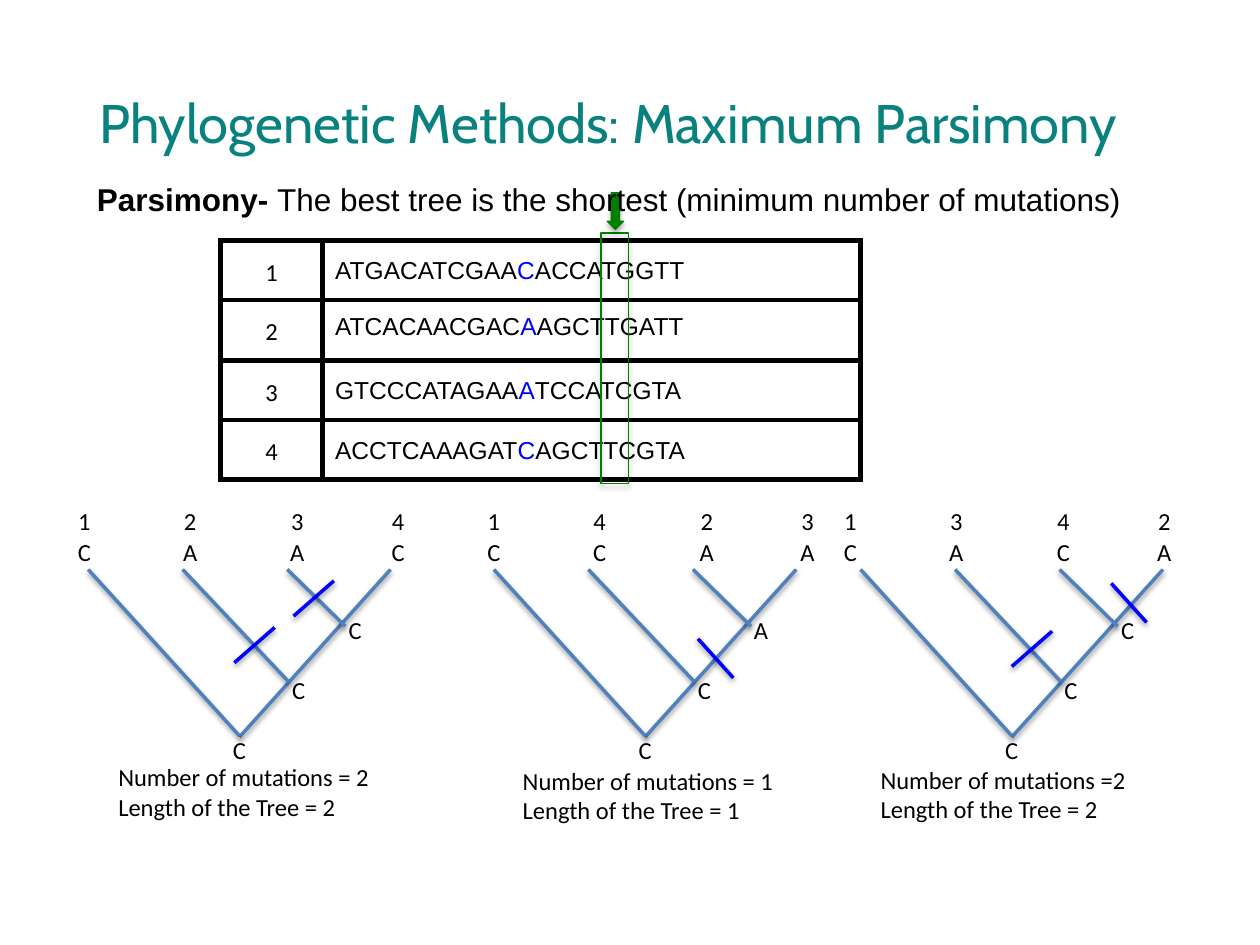
from dataclasses import dataclass

from lxml import etree
from pptx import Presentation
from pptx.dml.color import RGBColor
from pptx.enum.shapes import MSO_CONNECTOR, MSO_SHAPE
from pptx.enum.text import MSO_ANCHOR, MSO_AUTO_SIZE, PP_ALIGN
from pptx.oxml.ns import qn
from pptx.util import Inches, Pt

LEFT, CENTER, JUSTIFY = PP_ALIGN.LEFT, PP_ALIGN.CENTER, PP_ALIGN.JUSTIFY
TOP, MIDDLE = MSO_ANCHOR.TOP, MSO_ANCHOR.MIDDLE
RECT, DOWN_ARROW = MSO_SHAPE.RECTANGLE, MSO_SHAPE.DOWN_ARROW
STRAIGHT, NO_FIT = MSO_CONNECTOR.STRAIGHT, MSO_AUTO_SIZE.NONE


@dataclass(frozen=True)
class Theme:
    teal: str = "08817F"
    black: str = "000000"
    mutation: str = "0000FF"
    branch: str = "4F81BD"
    green: str = "008000"
    heading: str = "Cabin"
    sans: str = "Arial"
    label: str = "Calibri"
    title_size: float = 31
    lead_size: float = 18
    body_size: float = 14
    thick: float = 3
    medium: float = 2
    thin: float = 0.75


class SlideBuilder:
    """Draws styled elements on the current slide."""

    def __init__(self, s, theme):
        self.s = s
        self.theme = theme

    def run(self, p, text, font, size, color, bold=False):
        r = p.add_run()
        r.text = text
        r.font.name = font
        r.font.size = Pt(size)
        r.font.bold = bold
        r.font.color.rgb = RGBColor.from_string(color)

    def shadow(self, sp, alpha, distance):
        effects = etree.SubElement(sp._element.spPr, qn("a:effectLst"))
        outer = etree.SubElement(
            effects, qn("a:outerShdw"), blurRad=str(Pt(3.1)),
            dist=str(Pt(distance)), dir="5400000", rotWithShape="0")
        color = etree.SubElement(outer, qn("a:srgbClr"), val=self.theme.black)
        etree.SubElement(color, qn("a:alpha"), val=str(alpha * 1000))

    def title(self, text, x, y, w, h):
        t = self.theme
        sp = self.s.shapes.title
        sp.left, sp.top, sp.width, sp.height = map(Inches, (x, y, w, h))
        tf = sp.text_frame
        tf.auto_size = NO_FIT
        tf.word_wrap = True
        tf.vertical_anchor = MIDDLE
        p = tf.paragraphs[0]
        p.alignment = LEFT
        p.line_spacing = 0.9
        self.run(p, text, t.heading, t.title_size, t.teal)

    def text_box(self, x, y, w, h, inset=0.05):
        sp = self.s.shapes.add_textbox(*map(Inches, (x, y, w, h)))
        tf = sp.text_frame
        tf.word_wrap = True
        tf.margin_left = tf.margin_right = Inches(0.1)
        tf.margin_top = tf.margin_bottom = Inches(inset)
        return tf

    def lead(self, term, text, x, y, w, h):
        t = self.theme
        p = self.text_box(x, y, w, h).paragraphs[0]
        self.run(p, term, t.sans, t.lead_size, t.black, True)
        self.run(p, text, t.sans, t.lead_size, t.black)

    def label(self, text, x, y):
        t = self.theme
        p = self.text_box(x, y, 0.7, 0.45, 0.1).paragraphs[0]
        p.alignment = CENTER
        p.line_spacing = 1.15
        self.run(p, text, t.label, t.body_size, t.black)

    def note(self, lines, x, y):
        t = self.theme
        tf = self.text_box(x, y, 2.21, 0.59)
        for i, line in enumerate(lines):
            p = tf.add_paragraph() if i else tf.paragraphs[0]
            self.run(p, line, t.label, t.body_size, t.black)

    def line(self, x1, y1, x2, y2, color):
        sp = self.s.shapes.add_connector(STRAIGHT, *map(Inches, (x1, y1, x2, y2)))
        sp.line.color.rgb = RGBColor.from_string(color)
        sp.line.width = Pt(self.theme.medium)
        self.shadow(sp, 38, 1.6)

    def shape(self, kind, x, y, w, h, filled):
        sp = self.s.shapes.add_shape(kind, *map(Inches, (x, y, w, h)))
        green = RGBColor.from_string(self.theme.green)
        if filled:
            sp.fill.solid()
            sp.fill.fore_color.rgb = green
        else:
            sp.fill.background()
        sp.line.color.rgb = green
        sp.line.width = Pt(self.theme.thin)
        self.shadow(sp, 35, 1.8)

    def cell(self, cell, runs, font, align, spacing):
        cell.margin_left = cell.margin_right = Inches(0.1)
        cell.margin_top = cell.margin_bottom = Inches(0.1)
        cell.vertical_anchor = TOP
        p = cell.text_frame.paragraphs[0]
        p.alignment = align
        p.line_spacing = spacing
        for text, color in runs:
            self.run(p, text, font, self.theme.body_size, color)
        tc_pr = cell._tc.get_or_add_tcPr()
        for side in ("lnL", "lnR", "lnT", "lnB"):
            ln = etree.SubElement(tc_pr, qn(f"a:{side}"), w=str(Pt(self.theme.thick)))
            fill = etree.SubElement(ln, qn("a:solidFill"))
            etree.SubElement(fill, qn("a:srgbClr"), val=self.theme.black)
        cell.fill.background()

    def alignment_table(self, sequences, x, y, cols, rows):
        t = self.theme
        frame = self.s.shapes.add_table(
            len(rows), len(cols), *map(Inches, (x, y, sum(cols), sum(rows))))
        table = frame.table
        table.first_row = table.horz_banding = False
        for col, width in zip(table.columns, cols):
            col.width = Inches(width)
        for i, (before, site, after) in enumerate(sequences):
            table.rows[i].height = Inches(rows[i])
            self.cell(table.cell(i, 0), [(str(i + 1), t.black)], t.label, CENTER, 1.15)
            runs = [(before, t.black), (site, t.mutation), (after, t.black)]
            self.cell(table.cell(i, 1), runs, t.sans, JUSTIFY, 1 if i == 1 else 1.15)

    def tree(self, x, label_x, taxa, bases, nodes, marks):
        y = 4.52
        for x1, y1, x2 in BRANCHES:
            self.line(x + x1, y + y1, x + x2, y, self.theme.branch)
        for dx, taxon, base in zip(TIP_OFFSETS, taxa, bases):
            self.label(taxon, label_x + dx, 3.88)
            self.label(base, label_x + dx, 4.13)
        for (dx, dy), base in zip(NODE_OFFSETS, nodes):
            self.label(base, x + dx, y + dy)
        for dx, dy, (w, h) in marks:
            self.line(x + dx, y + dy, x + dx + w, y + dy + h, self.theme.mutation)


BRANCHES = [(1.2, 1.33, 2.4), (1.2, 1.32, 0), (1.59, 0.89, 0.75), (2.04, 0.45, 1.58)]
TIP_OFFSETS = [0, 0.84, 1.69, 2.49]
NODE_OFFSETS = [(0.85, 1.18), (1.32, 0.7), (1.77, 0.23)]
RISING, FALLING = (0.32, -0.28), (0.28, 0.31)

SEQUENCES = [
    ("ATGACATCGAA", "C", "ACCATGGTT"),
    ("ATCACAACGAC", "A", "AGCTTGATT"),
    ("GTCCCATAGAA", "A", "TCCATCGTA"),
    ("ACCTCAAAGAT", "C", "AGCTTCGTA"),
]
TREES = [
    (0.7, 0.32, "1234", "CAAC", "CCC", [(1.16, 0.74, RISING), (1.63, 0.37, RISING)]),
    (3.92, 3.57, "1423", "CCAA", "CCA", [(1.62, 0.55, FALLING)]),
    (6.83, 6.4, "1342", "CACA", "CCC", [(1.2, 0.77, RISING), (1.99, 0.11, FALLING)]),
]
NOTES = [
    (0.84, 6, "Number of mutations = 2", "Length of the Tree = 2"),
    (4.05, 6.03, "Number of mutations = 1", "Length of the Tree = 1"),
    (6.89, 6.02, "Number of mutations =2", "Length of the Tree = 2"),
]


def main():
    prs = Presentation()
    prs.slide_width, prs.slide_height = Inches(10), Inches(7.5)
    s = prs.slides.add_slide(prs.slide_layouts[5])
    builder = SlideBuilder(s, Theme())
    builder.title("Phylogenetic Methods: Maximum Parsimony", 0.69, 0.4, 8.62, 1.2)
    builder.alignment_table(SEQUENCES, 1.75, 1.91, [0.81, 4.27], [0.45, 0.48, 0.43, 0.43])
    for tree in TREES:
        builder.tree(*tree)
    for x, y, *lines in NOTES:
        builder.note(lines, x, y)
    builder.shape(RECT, 4.77, 1.85, 0.22, 1.99, False)
    builder.shape(DOWN_ARROW, 4.82, 1.53, 0.13, 0.29, True)
    builder.lead("Parsimony- ", "The best tree is the shortest (minimum number of mutations)",
                 0.67, 1.38, 8.62, 0.4)
    prs.save("out.pptx")


if __name__ == "__main__":
    main()
